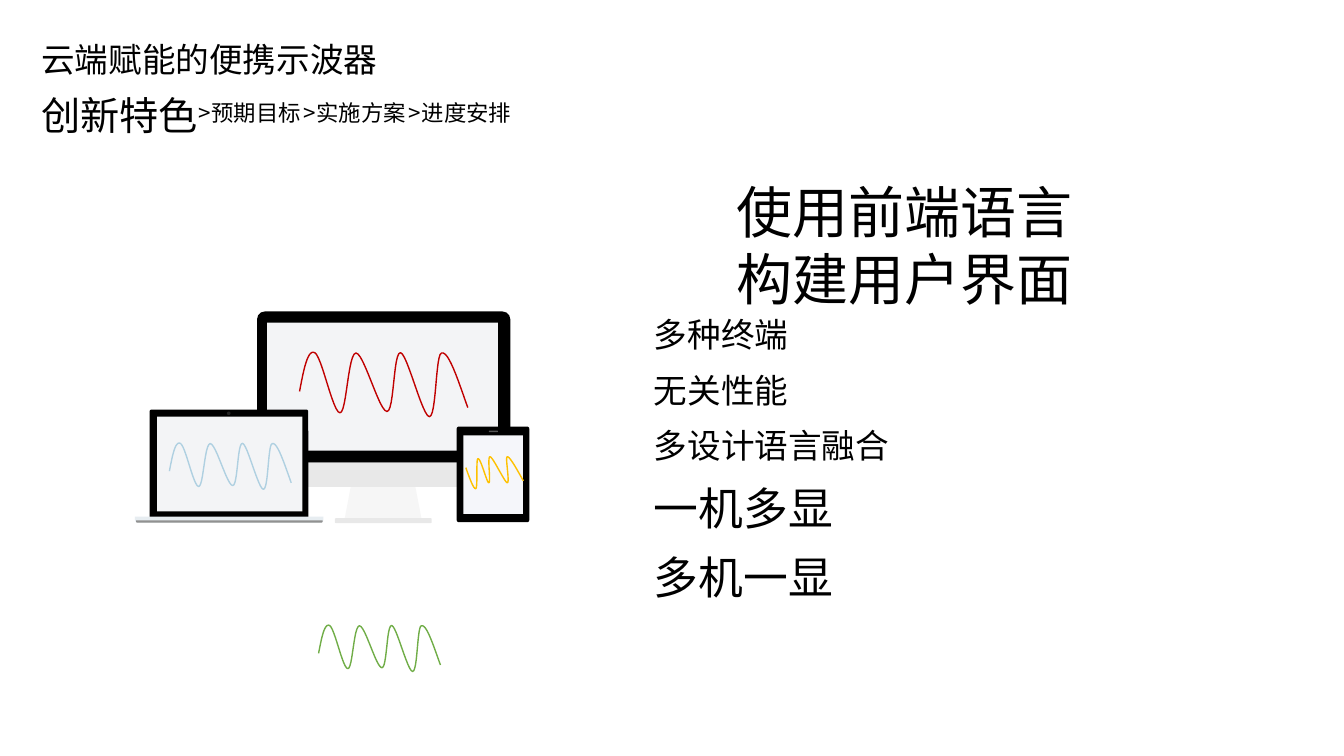
from pptx import Presentation
from pptx.dml.color import RGBColor
from pptx.enum.shapes import MSO_SHAPE
from pptx.enum.text import MSO_ANCHOR, MSO_AUTO_SIZE, PP_ALIGN
from pptx.oxml.ns import qn
from pptx.util import Cm, Pt

RECTANGLE = MSO_SHAPE.RECTANGLE
ROUNDED = MSO_SHAPE.ROUNDED_RECTANGLE
TOP_ROUNDED = MSO_SHAPE.ROUND_2_SAME_RECTANGLE
TRAPEZOID = MSO_SHAPE.TRAPEZOID
OVAL = MSO_SHAPE.OVAL
LEFT, RIGHT = PP_ALIGN.LEFT, PP_ALIGN.RIGHT

BLACK = RGBColor(0x00, 0x00, 0x00)
STAND = RGBColor(0xF6, 0xF6, 0xF6)
CHIN = RGBColor(0xE8, 0xE8, 0xE8)
SCREEN = RGBColor(0xF3, 0xF4, 0xF6)
TABLET_SCREEN = RGBColor(0xF5, 0xF6, 0xFA)
SPEAKER = RGBColor(0x55, 0x55, 0x55)
CAMERA = RGBColor(0x23, 0x23, 0x23)
LAPTOP_BASE = RGBColor(0xE7, 0xED, 0xF1)
LAPTOP_EDGE = RGBColor(0x91, 0x91, 0x91)
RED = RGBColor(0xC0, 0x00, 0x00)
BLUE = RGBColor(0xAF, 0xD0, 0xE1)
GOLD = RGBColor(0xFE, 0xC1, 0x00)
GREEN = RGBColor(0x70, 0xAD, 0x47)

FONT = "Noto Sans CJK SC"
CURVE_STEPS = 12

WAVE = [
    (0, 61), (2.4, 28), (4.8, -5), (9, 1), (13.2, 6), (19.8, 94), (24, 94),
    (28, 95), (28.7, 3), (33.5, 1.5), (38.3, 1.5), (47.3, 92), (52, 92),
    (56.3, 92), (55.7, 0), (60, 1), (64, 2), (73, 100), (77.2, 100),
    (81.4, 100), (80.8, 3), (84.4, 1.5), (88.6, -2), (94, 42), (100, 86),
]
TABLET_WAVE = [
    (0, 34), (7, 69), (14, 103), (17.5, 99), (21, 94), (17.5, 9), (21, 6),
    (26, 3), (37, 84), (40, 81), (44, 81), (37, 0), (42, 0),
    (47, 0), (68, 81), (72, 81), (77, 81), (68, 0), (72, 0),
    (77, 0), (88, 37), (100, 75),
]


def place(shape, box):
    for name, length in zip(("left", "top", "width", "height"), box):
        setattr(shape, name, Cm(length))


def write_lines(shape, box, lines, alignment=LEFT, space_before=0):
    place(shape, box)
    frame = shape.text_frame
    frame_format = {
        "word_wrap": True,
        "auto_size": MSO_AUTO_SIZE.NONE,
        "vertical_anchor": MSO_ANCHOR.TOP,
        "margin_left": Cm(0.25),
        "margin_right": Cm(0.25),
        "margin_top": Pt(3.6 + 0.12 * lines[0][1]),
        "margin_bottom": Cm(0.13),
    }
    for name, value in frame_format.items():
        setattr(frame, name, value)
    for index, (text, size) in enumerate(lines):
        paragraph = frame.add_paragraph() if index else frame.paragraphs[0]
        properties = paragraph._p.get_or_add_pPr()
        properties.set("marL", "0")
        properties.set("indent", "0")
        properties.append(properties.makeelement(qn("a:buNone"), {}))
        paragraph.alignment = alignment
        paragraph.line_spacing = Pt(1.2 * size)
        paragraph.space_before = Pt(space_before if index else 0)
        paragraph.space_after = Pt(0)
        run = paragraph.add_run()
        run.text = text
        run.font.size = Pt(size)
        run.font.name = FONT
        run.font.color.rgb = BLACK
        run_properties = run._r.get_or_add_rPr()
        run_properties.append(run_properties.makeelement(qn("a:ea"), {"typeface": FONT}))


def add_label(slide, box, text, size, alignment=LEFT):
    label = slide.shapes.add_textbox(0, 0, 0, 0)
    write_lines(label, box, [(text, size)], alignment)


def add_part(slide, box, preset, offset, color, adjustment=None, rotation=0):
    left, top = box[:2]
    x, y, width, height = offset
    part = slide.shapes.add_shape(preset, 0, 0, 0, 0)
    place(part, (left + x, top + y, width, height))
    part.shadow.inherit = False
    part.fill.solid()
    part.fill.fore_color.rgb = color
    part.line.fill.background()
    part.rotation = rotation
    if adjustment is not None:
        part.adjustments[0] = adjustment


def add_wave(slide, box, controls, color):
    left, top, width, height = box
    points = [controls[0]]
    for start in range(0, len(controls) - 1, 3):
        a, b, c, d = controls[start:start + 4]
        for step in range(1, CURVE_STEPS + 1):
            t = step / CURVE_STEPS
            weights = ((1 - t) ** 3, 3 * t * (1 - t) ** 2, 3 * t * t * (1 - t), t ** 3)
            points.append(tuple(
                sum(weight * value for weight, value in zip(weights, values))
                for values in zip(a, b, c, d)
            ))
    scaled = [(Cm(left + x * width / 100), Cm(top + y * height / 100)) for x, y in points]
    builder = slide.shapes.build_freeform(*scaled[0])
    builder.add_line_segments(scaled[1:], close=False)
    wave = builder.convert_to_shape()
    wave.shadow.inherit = False
    wave.fill.background()
    wave.line.color.rgb = color
    wave.line.width = Pt(1)


def add_header(slide, box):
    left, top, width, height = box
    add_label(slide, (left, top, 9.42, 1.27), "云端赋能的便携示波器", 24)
    add_label(slide, (left, top + 1.3, 4.57, 1.45), "创新特色", 28)
    for index, step in enumerate(("预期目标", "实施方案", "进度安排")):
        x = left + 3.89 + 2.65 * index
        add_label(slide, (x, top + 1.55, 0.89, 0.94), ">", 16, RIGHT)
        add_label(slide, (x + 0.4, top + 1.55, 3.68, 0.94), step, 16)


def add_features(slide, box):
    left, top, width, height = box
    title, body = slide.placeholders
    write_lines(title, (left + 2.08, top, 12.17, 3.68),
                [("使用前端语言", 40), ("构建用户界面", 40)])
    features = [("多种终端", 24), ("无关性能", 24), ("多设计语言融合", 24),
                ("一机多显", 32), ("多机一显", 32)]
    write_lines(body, (left, top + 3.51, width, height - 3.51), features, space_before=11)


def add_monitor(slide, box):
    add_part(slide, box, TRAPEZOID, (2.21, 4.42, 1.93, 0.79), STAND, 0.19)
    add_part(slide, box, ROUNDED, (1.96, 5.21, 2.44, 0.12), CHIN, 0.2)
    add_part(slide, box, TOP_ROUNDED, (0, 0, 6.38, 3.81), BLACK, 0.05)
    add_part(slide, box, TOP_ROUNDED, (0, 3.81, 6.38, 0.61), CHIN, 0.3, 180)
    add_part(slide, box, RECTANGLE, (0.25, 0.28, 5.82, 3.23), SCREEN)
    add_wave(slide, (box[0] + 1.07, box[1] + 1.02, 4.24, 1.63), WAVE, RED)


def add_tablet(slide, box):
    add_part(slide, box, ROUNDED, (0, 0, *box[2:]), BLACK, 0.03)
    add_part(slide, box, RECTANGLE, (0.17, 0.22, 1.5, 1.98), TABLET_SCREEN)
    add_part(slide, box, ROUNDED, (0.81, 0.1, 0.23, 0.04), SPEAKER, 0.5)
    add_wave(slide, (box[0] + 0.23, box[1] + 0.76, 1.45, 0.81), TABLET_WAVE, GOLD)


def add_laptop(slide, box):
    add_part(slide, box, TOP_ROUNDED, (0.37, 0, 4, 2.72), BLACK, 0.02)
    add_part(slide, box, TOP_ROUNDED, (0, 2.7, 4.75, 0.15), LAPTOP_BASE, 0.5, 180)
    add_part(slide, box, TOP_ROUNDED, (0.03, 2.79, 4.7, 0.06), LAPTOP_EDGE, 0.5, 180)
    add_part(slide, box, RECTANGLE, (0.56, 0.18, 3.66, 2.39), SCREEN)
    add_part(slide, box, OVAL, (2.32, 0.05, 0.09, 0.09), CAMERA)
    add_wave(slide, (box[0] + 0.87, box[1] + 0.84, 3.07, 1.17), WAVE, BLUE)


def main():
    presentation = Presentation()
    presentation.slide_width = Cm(33.87)
    presentation.slide_height = Cm(19.05)
    slide = presentation.slides.add_slide(presentation.slide_layouts[1])
    add_header(slide, (0.79, 0.76, 13.3, 2.75))
    add_features(slide, (16.23, 4.17, 16.8, 11.05))
    add_monitor(slide, (6.48, 7.85, 6.38, 5.33))
    add_tablet(slide, (11.51, 10.75, 1.83, 2.41))
    add_laptop(slide, (3.4, 10.32, 4.75, 2.85))
    add_wave(slide, (8.03, 15.75, 3.07, 1.17), WAVE, GREEN)
    presentation.save("out.pptx")


if __name__ == "__main__":
    main()
